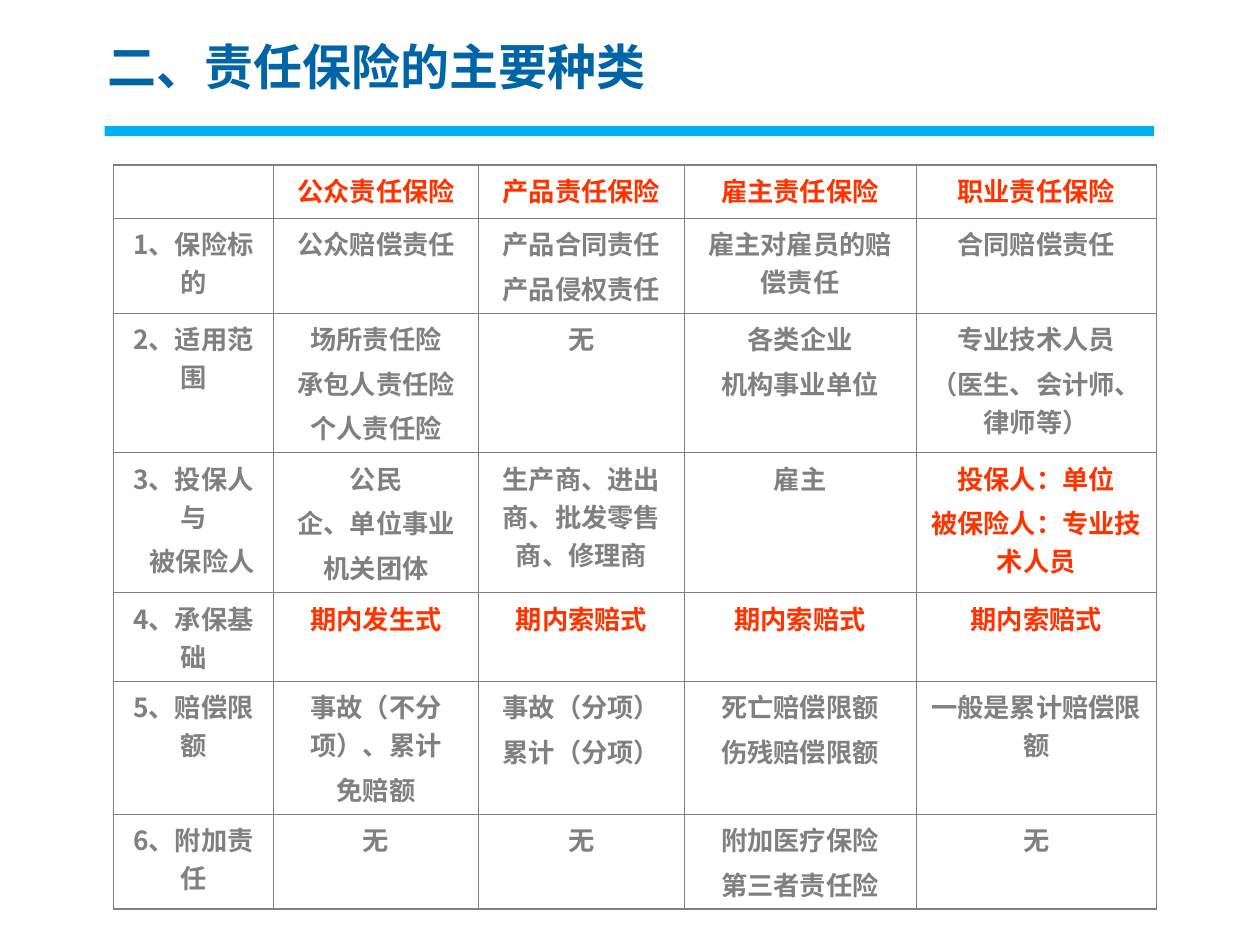
from lxml import etree
from pptx import Presentation
from pptx.dml.color import RGBColor
from pptx.enum import shapes, text
from pptx.oxml.ns import qn
from pptx.util import Inches, Pt

COLORS = {"title": "0065A6", "bar": "00B0F0", "body": "808080",
          "accent": "FF3300", "grid": "808080"}
FONT = "Noto Sans CJK SC"

COL_WIDTHS = [1.27, 1.63, 1.63, 1.84, 1.91]
ROW_HEIGHTS = [0.42, 0.65, 0.96, 0.96, 0.6, 0.9, 0.65]
# One list per row; a line break starts a new paragraph
ROWS = [
    ["", "公众责任保险", "产品责任保险", "雇主责任保险", "职业责任保险"],
    ["1、保险标的", "公众赔偿责任", "产品合同责任\n产品侵权责任",
     "雇主对雇员的赔偿责任", "合同赔偿责任"],
    ["2、适用范围", "场所责任险\n承包人责任险\n个人责任险", "无",
     "各类企业\n机构事业单位", "专业技术人员\n（医生、会计师、律师等）"],
    ["3、投保人与\n被保险人", "公民\n企、单位事业\n机关团体",
     "生产商、进出商、批发零售商、修理商", "雇主",
     "投保人：单位\n被保险人：专业技术人员"],
    ["4、承保基础", "期内发生式", "期内索赔式", "期内索赔式", "期内索赔式"],
    ["5、赔偿限额", "事故（不分项）、累计\n免赔额", "事故（分项）\n累计（分项）",
     "死亡赔偿限额\n伤残赔偿限额", "一般是累计赔偿限额"],
    ["6、附加责任", "无", "无", "附加医疗保险\n第三者责任险", "无"],
]
ACCENT_CELLS = {(r, c) for r in (0, 4) for c in range(1, 5)} | {(3, 4)}


def write(tf, content, size, color, align=text.PP_ALIGN.LEFT, before=0):
    """Fill a text frame with bold text, one paragraph per line."""
    for i, line in enumerate(content.split("\n")):
        p = tf.paragraphs[0] if i == 0 else tf.add_paragraph()
        p.alignment = align
        if i:
            p.space_before = Pt(before)
        if not line:
            continue
        r = p.add_run()
        r.text = line
        r.font.size, r.font.bold, r.font.name = Pt(size), True, FONT
        r.font.color.rgb = RGBColor.from_string(COLORS[color])
        etree.SubElement(r.font._element, qn("a:ea"), typeface=FONT)


def border(cell, side, width):
    """Draw one side (L, R, T or B) of a cell."""
    ln = etree.SubElement(cell._tc.get_or_add_tcPr(), qn(f"a:ln{side}"),
                          w=str(Pt(width)))
    fill = etree.SubElement(ln, qn("a:solidFill"))
    etree.SubElement(fill, qn("a:srgbClr"), val=COLORS["grid"])


class Deck:
    outer, inner = 1.08, 0.45

    def __init__(self):
        self.prs = Presentation()
        self.prs.slide_width, self.prs.slide_height = Inches(10), Inches(7.5)
        self.s = self.prs.slides.add_slide(self.prs.slide_layouts[5])

    def bar(self, x, y, w, h):
        sp = self.s.shapes.add_shape(shapes.MSO_SHAPE.RECTANGLE, Inches(x),
                                     Inches(y), Inches(w), Inches(h))
        sp.shadow.inherit = False
        sp.fill.solid()
        sp.fill.fore_color.rgb = RGBColor.from_string(COLORS["bar"])
        sp.line.fill.background()

    def title(self, content, x, y, w, h):
        sp = self.s.shapes.title
        sp.left, sp.top, sp.width, sp.height = map(Inches, (x, y, w, h))
        tf = sp.text_frame
        tf.auto_size = text.MSO_AUTO_SIZE.NONE
        tf.vertical_anchor = text.MSO_ANCHOR.TOP
        tf.margin_top = Inches(0.01)
        write(tf, content, 28, "title")

    def table(self, rows, x, y, widths, heights):
        last_row, last_col = len(rows) - 1, len(widths) - 1
        table = self.s.shapes.add_table(
            len(rows), len(widths), Inches(x), Inches(y),
            Inches(sum(widths)), Inches(sum(heights))).table
        table.first_row = table.horz_banding = False
        for col, w in zip(table.columns, widths):
            col.width = Inches(w)
        for row, h in zip(table.rows, heights):
            row.height = Inches(h)
        for r, row in enumerate(rows):
            for c, content in enumerate(row):
                cell = table.cell(r, c)
                color = "accent" if (r, c) in ACCENT_CELLS else "body"
                write(cell.text_frame, content, 15, color,
                      text.PP_ALIGN.CENTER, before=3.7)
                # Borders come before the fill in the cell properties
                edges = {"L": c == 0, "R": c == last_col,
                         "T": r == 0, "B": r == last_row}
                for side, is_edge in edges.items():
                    border(cell, side, self.outer if is_edge else self.inner)
                cell.fill.background()
        return table


def main():
    deck = Deck()
    # Heading
    deck.bar(0.83, 1, 8.33, 0.08)
    deck.title("二、责任保险的主要种类", 0.75, 0.28, 9, 0.77)
    # Comparison table
    table = deck.table(ROWS, 0.9, 1.31, COL_WIDTHS, ROW_HEIGHTS)
    # The second line of row 3's heading is set in under the number
    p = table.cell(3, 0).text_frame.paragraphs[1]
    p._p.get_or_add_pPr().set("marL", str(Inches(0.14)))
    deck.prs.save("out.pptx")


if __name__ == "__main__":
    main()
